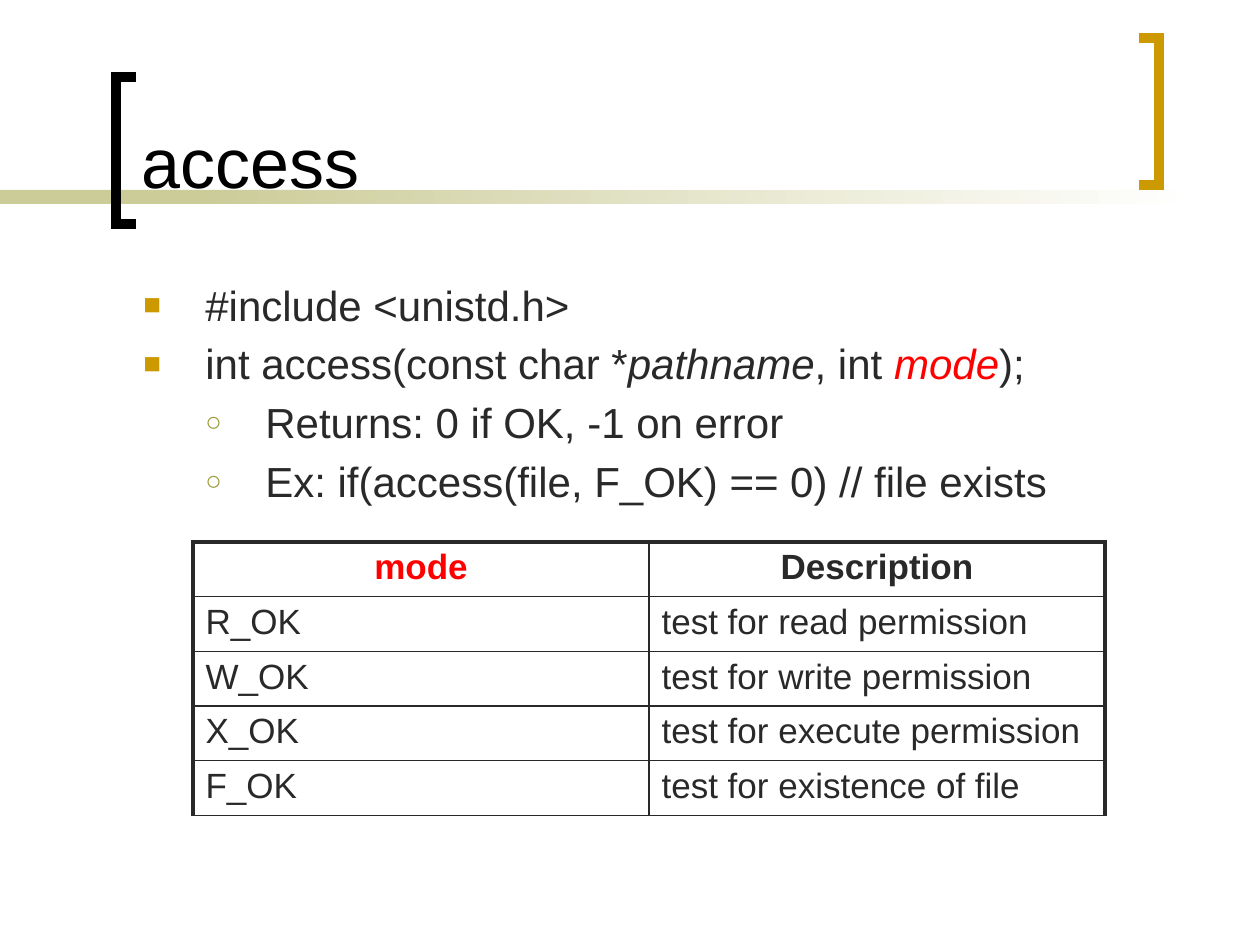
from lxml.etree import SubElement
from pptx import Presentation
from pptx.dml.color import RGBColor
from pptx.enum.shapes import MSO_SHAPE
from pptx.enum.text import MSO_ANCHOR, PP_ALIGN
from pptx.oxml.ns import qn
from pptx.util import Pt

SCALE = 914400 / 126
FONT = "Arial"
BLACK, INK, RED = "000000", "292929", "FF0000"
GOLD, OLIVE, SAND, WHITE = "CC9900", "999933", "CCCC99", "FFFFFF"
BULLETS = [("■", GOLD, 70, 62, 62), ("○", OLIVE, 65, 122, 60)]
BODY = [
    (0, [("#include <unistd.h>", INK, False)]),
    (0, [
        ("int access(const char *", INK, False),
        ("pathname", INK, True),
        (", int ", INK, False),
        ("mode", RED, True),
        (");", INK, False),
    ]),
    (1, [("Returns: 0 if OK, -1 on error", INK, False)]),
    (1, [("Ex: if(access(file, F_OK) == 0) // file exists", INK, False)]),
]
MODES = [
    ("mode", "Description"),
    ("R_OK", "test for read permission"),
    ("W_OK", "test for write permission"),
    ("X_OK", "test for execute permission"),
    ("F_OK", "test for existence of file"),
]


def px(length):
    """Turn pixels into EMU."""
    return round(length * SCALE)


def color(value):
    """Turn a hex string into a colour."""
    return RGBColor.from_string(value)


def add_element(parent, tag, **attributes):
    """Append a DrawingML element to a parent."""
    element = SubElement(parent, qn(tag))
    for name, value in attributes.items():
        element.set(name, str(value))
    return element


def place(shape, left, top, width, height):
    """Move and size a shape."""
    shape.left, shape.top = px(left), px(top)
    shape.width, shape.height = px(width), px(height)


def add_run(paragraph, text, size, ink, bold=False, italic=False):
    """Add one formatted run."""
    run = paragraph.add_run()
    run.text = text
    font = run.font
    font.name, font.size = FONT, Pt(size)
    font.bold, font.italic = bold, italic
    font.color.rgb = color(ink)


def space_before(paragraph):
    """Set the gap above a paragraph to a fifth of a line."""
    properties = paragraph._p.get_or_add_pPr()
    spacing = add_element(properties, "a:spcBef")
    add_element(spacing, "a:spcPct", val=20000)
    return properties


def add_bar(slide, left, width, end_color):
    """Add a stretch of the title rule that fades to its end colour."""
    bar = slide.shapes.add_shape(
        MSO_SHAPE.RECTANGLE, px(left), px(190), px(width), px(14))
    bar.shadow.inherit = False
    bar.line.fill.background()
    if end_color == SAND:
        bar.fill.solid()
        bar.fill.fore_color.rgb = color(SAND)
        return
    bar.fill.gradient()
    bar.fill.gradient_angle = 0
    for stop, value in zip(bar.fill.gradient_stops, (SAND, end_color)):
        stop.color.rgb = color(value)


def add_bracket(slide, tip, spine, top, ink):
    """Add a square bracket whose spine joins two tips."""
    bottom = top + 147
    builder = slide.shapes.build_freeform(tip, top, scale=SCALE)
    builder.add_line_segments(
        [(spine, top), (spine, bottom), (tip, bottom)], close=False)
    bracket = builder.convert_to_shape()
    bracket.shadow.inherit = False
    bracket.fill.background()
    bracket.line.width = Pt(6)
    bracket.line.color.rgb = color(ink)
    add_element(bracket.line._ln, "a:miter", lim=800000)


def set_title(slide, text):
    """Format the title and bring it in front of the rule."""
    title = slide.shapes.title
    place(title, 129, 14, 987, 195)
    frame = title.text_frame
    frame.vertical_anchor = MSO_ANCHOR.BOTTOM
    paragraph = frame.paragraphs[0]
    paragraph.alignment = PP_ALIGN.LEFT
    add_run(paragraph, text, 40, BLACK)
    title.element.getparent().append(title.element)


def add_bullet(paragraph, level):
    """Indent a paragraph and give it the bullet of its level."""
    character, ink, percent, margin, hanging = BULLETS[level]
    paragraph.level = level
    properties = space_before(paragraph)
    properties.set("marL", str(px(margin)))
    properties.set("indent", str(-px(hanging)))
    bullet_color = add_element(properties, "a:buClr")
    add_element(bullet_color, "a:srgbClr", val=ink)
    add_element(properties, "a:buSzPct", val=percent * 1000)
    add_element(properties, "a:buFont", typeface=FONT)
    add_element(properties, "a:buChar", char=character)


def add_body(slide):
    """Add the bulleted text."""
    box = slide.shapes.add_textbox(px(131), px(273), px(1056), px(567))
    frame = box.text_frame
    frame.word_wrap = True
    for index, (level, runs) in enumerate(BODY):
        paragraph = frame.add_paragraph() if index else frame.paragraphs[0]
        add_bullet(paragraph, level)
        for text, ink, italic in runs:
            add_run(paragraph, text, 24, ink, italic=italic)


def set_borders(cell, thick_sides):
    """Draw the four borders of a cell, thick on the given sides."""
    properties = cell._tc.get_or_add_tcPr()
    for position, side in enumerate("LRTB"):
        points = 2.25 if side in thick_sides else 1
        line = add_element(properties, f"a:ln{side}", w=Pt(points))
        fill = add_element(line, "a:solidFill")
        add_element(fill, "a:srgbClr", val=INK)
        properties.insert(position, line)


def add_mode_table(slide):
    """Add the table of access modes."""
    frame = slide.shapes.add_table(
        len(MODES), 2, px(193), px(542), px(912), px(273))
    table = frame.table
    table.first_row = table.horz_banding = False
    for row, texts in enumerate(MODES):
        for column, text in enumerate(texts):
            header = row == 0
            cell = table.cell(row, column)
            cell.fill.background()
            set_borders(cell, "LR"[column] + ("T" if header else ""))
            paragraph = cell.text_frame.paragraphs[0]
            paragraph.alignment = PP_ALIGN.CENTER if header else PP_ALIGN.LEFT
            space_before(paragraph)
            ink = RED if text == "mode" else INK
            add_run(paragraph, text, 20, ink, bold=header)


def main():
    """Build the slide and save it."""
    presentation = Presentation()
    presentation.slide_width, presentation.slide_height = px(1260), px(945)
    slide = presentation.slides.add_slide(presentation.slide_layouts[5])
    add_bar(slide, 0, 294, SAND)
    add_bar(slide, 199, 998, WHITE)
    add_bracket(slide, 136, 116, 77, BLACK)
    add_bracket(slide, 1139, 1159, 38, GOLD)
    set_title(slide, "access")
    add_body(slide)
    add_mode_table(slide)
    presentation.save("out.pptx")


if __name__ == "__main__":
    main()
